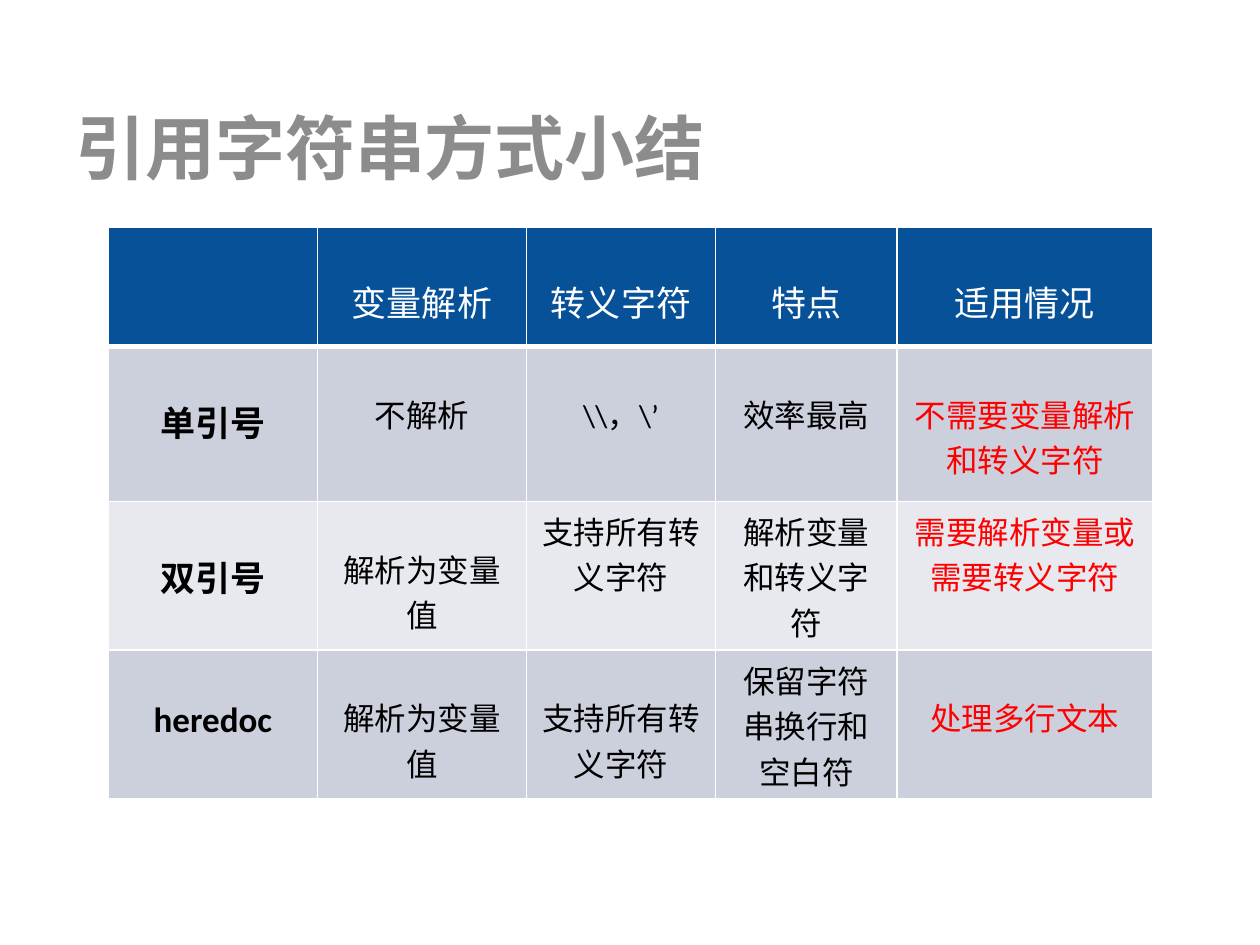
from lxml.etree import SubElement
from pptx import Presentation
from pptx.dml.color import RGBColor
from pptx.enum.text import MSO_ANCHOR as ANCHOR, PP_ALIGN as ALIGN
from pptx.oxml.ns import qn
from pptx.util import Inches, Pt

COLORS = {
    "title": "8C8C8C", "header": "075198", "band_dark": "CCD0DD",
    "band_light": "E7E9EF", "white": "FFFFFF", "black": "000000", "red": "FF0000",
}
FONT = "Calibri"
COL_WIDTHS = [1.66, 1.66, 1.5, 1.44, 2.03]
# The last two rows hold three lines of text
ROW_HEIGHTS = [0.95, 1.23, 1.18, 1.18]
ROWS = [
    ["", "变量解析", "转义字符", "特点", "适用情况"],
    ["单引号", "不解析", "\\\\，\\’", "效率最高", "不需要变量解析和转义字符"],
    ["双引号", "解析为变量值", "支持所有转义字符", "解析变量和转义字符", "需要解析变量或需要转义字符"],
    ["heredoc", "解析为变量值", "支持所有转义字符", "保留字符串换行和空白符", "处理多行文本"],
]
# Cells whose text starts at the top edge instead of one line lower
TOP_CELLS = {(2, 2), (2, 3), (2, 4), (3, 3)}


def rgb(name):
    return RGBColor.from_string(COLORS[name])


def write(tf, text, size=18, color="black", bold=False, align=ALIGN.CENTER):
    tf.word_wrap = True
    p = tf.paragraphs[0]
    p.alignment = align
    r = p.add_run()
    r.text = text
    r.font.name, r.font.size, r.font.bold = FONT, Pt(size), bold
    r.font.color.rgb = rgb(color)


def set_borders(cell, **widths):
    """Draw white borders; widths in points by side, L, R, T and B."""
    tc_pr = cell._tc.get_or_add_tcPr()
    for side in "LRTB":
        ln = SubElement(tc_pr, qn("a:ln" + side), w=str(Pt(widths.get(side, 1))))
        fill = SubElement(ln, qn("a:solidFill"))
        SubElement(fill, qn("a:srgbClr"), val=COLORS["white"])


def add_title(slide, left, top, width, height):
    sp = slide.shapes.add_textbox(Inches(left), Inches(top), Inches(width), Inches(height))
    sp.text_frame.vertical_anchor = ANCHOR.MIDDLE
    write(sp.text_frame, "引用字符串方式小结", size=40, color="title", bold=True, align=ALIGN.LEFT)


def fill_cell(cell, row, col, text):
    header, label = row == 0, col == 0
    # Borders, with a heavy rule under the header
    set_borders(cell, T=3 if row == 1 else 1, B=3 if header else 1)
    cell.fill.solid()
    cell.fill.fore_color.rgb = rgb("header" if header else "band_dark" if row % 2 else "band_light")

    # Text, lowered by one line unless it starts at the top
    size = 20 if header or label else 18
    if (row, col) not in TOP_CELLS:
        cell.margin_top = Inches(0.39 if size == 20 else 0.35)
    if text:
        color = "white" if header else "red" if col == len(COL_WIDTHS) - 1 else "black"
        write(cell.text_frame, text, size=size, color=color, bold=label)


def add_summary_table(slide, left, top):
    frame = slide.shapes.add_table(
        len(ROWS), len(COL_WIDTHS), Inches(left), Inches(top),
        Inches(sum(COL_WIDTHS)), Inches(sum(ROW_HEIGHTS)))
    table = frame.table
    for column, width in zip(table.columns, COL_WIDTHS):
        column.width = Inches(width)
    for row, height in zip(table.rows, ROW_HEIGHTS):
        row.height = Inches(height)
    for i, texts in enumerate(ROWS):
        for j, text in enumerate(texts):
            fill_cell(table.cell(i, j), i, j, text)


def main():
    prs = Presentation()
    prs.slide_width, prs.slide_height = Inches(10), Inches(7.5)
    slide = prs.slides.add_slide(prs.slide_layouts[6])
    add_title(slide, 0.5, 0.78, 9, 0.77)
    add_summary_table(slide, 0.86, 1.8)
    prs.save("out.pptx")


if __name__ == "__main__":
    main()
